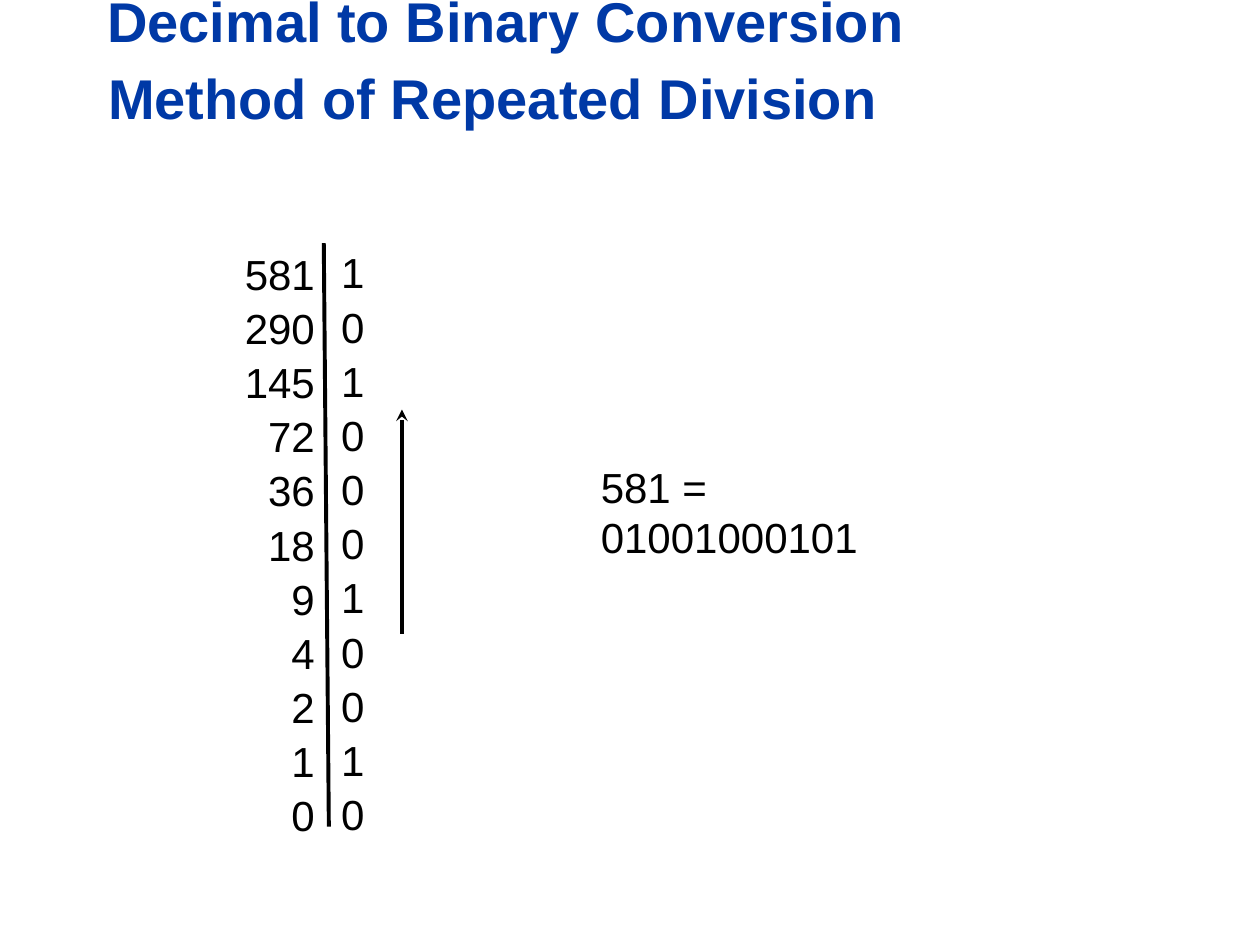
"""Build a slide showing decimal to binary conversion by repeated division."""
from lxml import etree
from pptx import Presentation
from pptx.dml.color import RGBColor
from pptx.enum.shapes import MSO_CONNECTOR
from pptx.enum.text import MSO_ANCHOR, MSO_AUTO_SIZE, PP_ALIGN
from pptx.oxml.ns import qn
from pptx.util import Inches, Pt

STRAIGHT = MSO_CONNECTOR.STRAIGHT
BOTTOM, TOP = MSO_ANCHOR.BOTTOM, MSO_ANCHOR.TOP
LEFT = PP_ALIGN.LEFT
FIT, NO_FIT = MSO_AUTO_SIZE.SHAPE_TO_FIT_TEXT, MSO_AUTO_SIZE.NONE

COLORS = {"heading": "0039A6", "ink": "000000"}
FONT = "Arial"
TITLE = "Decimal to Binary Conversion"
SUBTITLE = "Method of Repeated Division"
DIVISIONS = [(581, 1), (290, 0), (145, 1), (72, 0), (36, 0), (18, 0),
             (9, 1), (4, 0), (2, 0), (1, 1), (0, 0)]
RESULT = "581 = 01001000101"

ROW_TOP, ROW_STEP, ROW_H = 1.89, 0.43, 0.5
COLUMN_EDGE, DIGIT_W, PADDING = 2.6, 0.185, 0.2


def write(sp, text, size, color, bold=False, anchor=TOP):
    tf = sp.text_frame
    tf.text = text
    tf.vertical_anchor = anchor
    p = tf.paragraphs[0]
    p.alignment = LEFT
    f = p.runs[0].font
    f.name, f.size, f.bold = FONT, Pt(size), bold
    f.color.rgb = RGBColor.from_string(COLORS[color])
    return tf


def add_text(s, text, x, y, w, h=ROW_H):
    sp = s.shapes.add_textbox(Inches(x), Inches(y), Inches(w), Inches(h))
    tf = write(sp, text, 24, "ink")
    tf.word_wrap = False
    tf.margin_top = Inches(0.08)
    tf.margin_bottom = Inches(0.03)
    tf.auto_size = FIT


def add_line(s, x1, y1, x2, y2, head=None):
    c = s.shapes.add_connector(STRAIGHT, *map(Inches, (x1, y1, x2, y2)))
    c.line.width = Pt(2.25)
    c.line.color.rgb = RGBColor.from_string(COLORS["ink"])
    if head:
        ln = c._element.spPr.find(qn("a:ln"))
        etree.SubElement(ln, qn("a:tailEnd"), type=head)
    etree.SubElement(c._element.spPr, qn("a:effectLst"))


def main():
    prs = Presentation()
    prs.slide_width, prs.slide_height = Inches(10), Inches(7.5)
    s = prs.slides.add_slide(prs.slide_layouts[5])

    title = s.shapes.title
    title.left, title.top = Inches(0.75), Inches(-0.19)
    title.width, title.height = Inches(9.03), Inches(1.18)
    tf = write(title, TITLE, 32, "heading", True, BOTTOM)
    tf.margin_bottom = Inches(0.56)
    tf.auto_size = NO_FIT

    for i, (quotient, remainder) in enumerate(DIVISIONS):
        y = ROW_TOP + i * ROW_STEP
        w = PADDING + DIGIT_W * len(str(quotient))
        add_text(s, str(quotient), COLUMN_EDGE - w, y, w)
        add_text(s, str(remainder), 2.61, y - 0.01, PADDING + DIGIT_W)

    add_line(s, 2.57, 1.93, 2.61, 6.56)
    add_line(s, 3.19, 5.03, 3.19, 3.25, "stealth")
    add_text(s, RESULT, 4.67, 3.58, 3.17)

    sp = s.shapes.add_textbox(Inches(0.76), Inches(0.45), Inches(9.03), Inches(0.64))
    tf = write(sp, SUBTITLE, 32, "heading", True, BOTTOM)
    tf.word_wrap = True

    prs.save("out.pptx")


if __name__ == "__main__":
    main()
